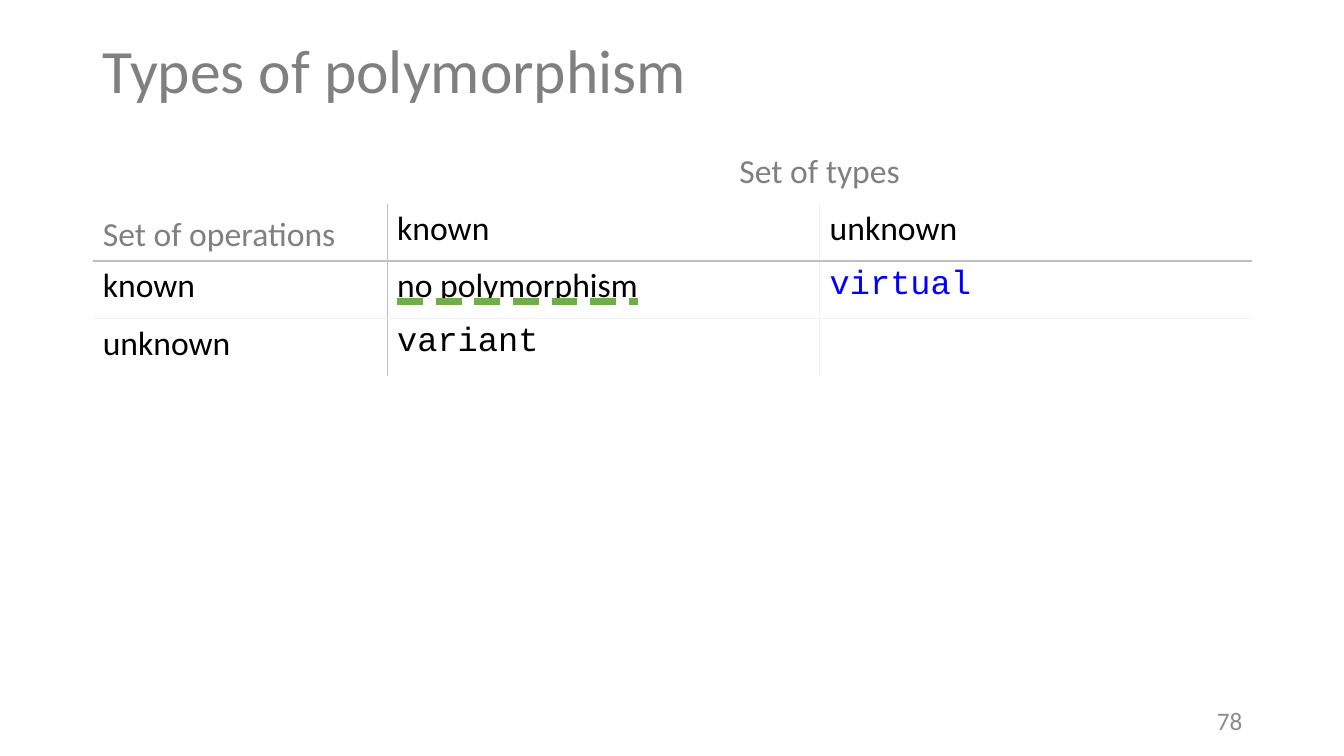
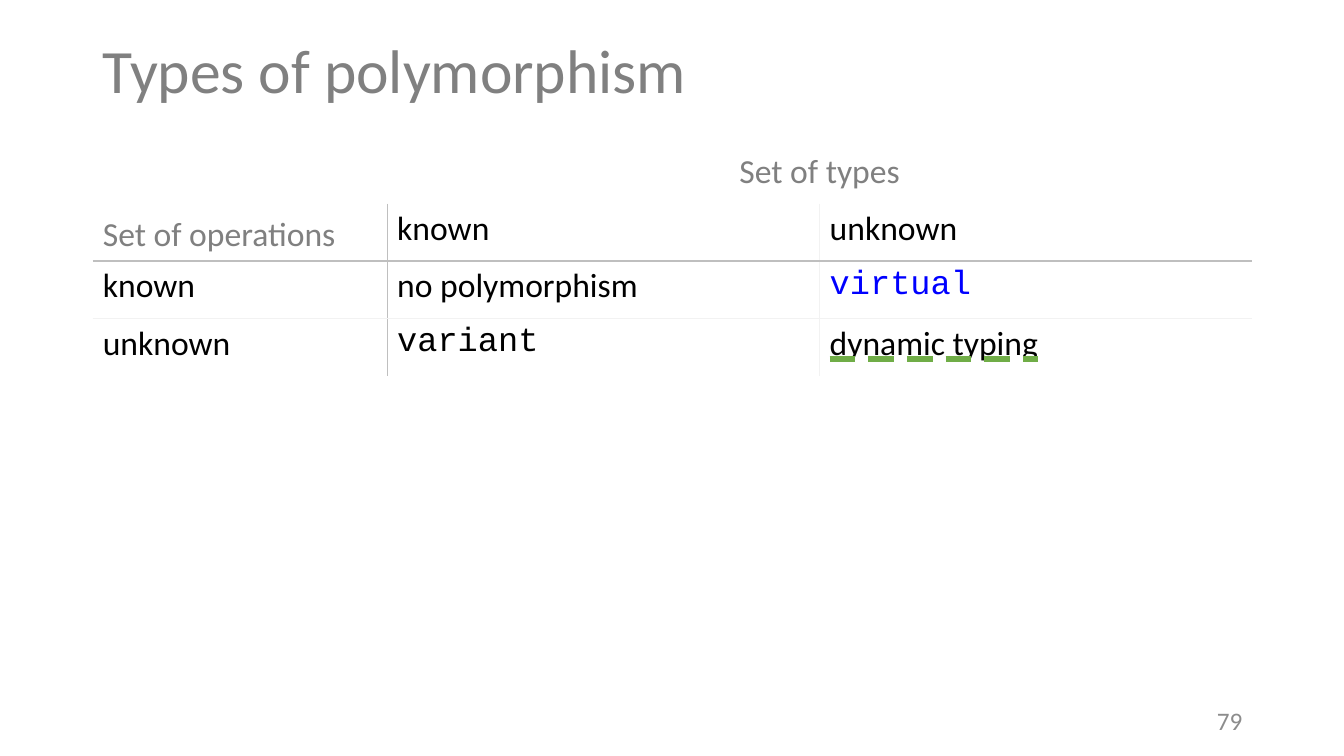
from lxml.etree import SubElement
from pptx import Presentation
from pptx.dml.color import RGBColor
from pptx.enum.text import MSO_ANCHOR, MSO_UNDERLINE, PP_ALIGN
from pptx.oxml import parse_xml
from pptx.oxml.ns import qn
from pptx.util import Inches, Pt

GREY = RGBColor(0x80, 0x80, 0x80)
DIM = RGBColor(0x8C, 0x8C, 0x8C)
BLACK = RGBColor(0, 0, 0)
BLUE = RGBColor(0, 0, 0xFF)
GREEN = RGBColor(0x70, 0xAD, 0x47)
RULE = RGBColor(0xBF, 0xBF, 0xBF)
PALE = RGBColor(0xF2, 0xF2, 0xF2)
SANS, MONO = "Calibri", "Courier New"
SPACE = "http://schemas.openxmlformats.org/drawingml/2006/main"
PLAIN = "{2D5ABB26-0587-4C30-8999-92F81FD0307C}"

LEFT, WIDTH, HEAD = 0.92, 11.5, 1.45
COLS, ROW = (2.92, 4.29, 4.29), 0.57
DOWN = {1: RULE, 2: PALE}
ACROSS = {2: RULE, 3: PALE}
GRID = (
    ("Set of operations", "Set of types", ""),
    ("", "known", "unknown"),
    ("known", "no polymorphism", "virtual"),
    ("unknown", "variant", "dynamic typing"),
)
CODE = {"virtual": BLUE, "variant": BLACK}


class Deck:
    """Holds the shared style and the current slide."""

    def __init__(self):
        self.prs = Presentation()
        self.prs.slide_width = Inches(13.33)
        self.prs.slide_height = Inches(7.5)
        self.slide = None

    def start(self, title, number):
        self.slide = self.prs.slides.add_slide(self.prs.slide_layouts[5])
        box = self.slide.shapes.title
        self.place(box, LEFT, 0, WIDTH, HEAD)
        self.label(box.text_frame, title, 44, GREY)
        box.text_frame.paragraphs[0].line_spacing = 0.9
        page = self.slide.shapes.add_textbox(0, 0, 0, 0)
        self.place(page, LEFT + WIDTH - 3, 6.95, 3, 0.4)
        self.label(page.text_frame, str(number), 18, DIM, align=PP_ALIGN.RIGHT)
        for frame in (box.text_frame, page.text_frame):
            frame.word_wrap = True
            frame.vertical_anchor = MSO_ANCHOR.MIDDLE

    def place(self, shape, left, top, width, height):
        shape.left, shape.top = Inches(left), Inches(top)
        shape.width, shape.height = Inches(width), Inches(height)

    def label(self, frame, text, size, color, font=SANS, align=PP_ALIGN.LEFT):
        frame.text = text
        para = frame.paragraphs[0]
        para.alignment = align
        for run in para.runs:
            run.font.size = Pt(size)
            run.font.name = font
            run.font.color.rgb = color

    def mark(self, run):
        run.font.underline = MSO_UNDERLINE.DASH_HEAVY_LINE
        fill = parse_xml(
            f'<a:uFill xmlns:a="{SPACE}"><a:solidFill>'
            f'<a:srgbClr val="{GREEN}"/></a:solidFill></a:uFill>'
        )
        run.font._element.find(qn("a:solidFill")).addnext(fill)

    def rule(self, cell, row, col):
        sides = {"T": ACROSS.get(row), "B": ACROSS.get(row + 1)}
        if row > 0:
            sides = {"L": DOWN.get(col), "R": DOWN.get(col + 1), **sides}
        props = cell._tc.get_or_add_tcPr()
        for side, color in sides.items():
            if color is not None:
                line = SubElement(props, qn(f"a:ln{side}"), w=str(Pt(1)))
                fill = SubElement(line, qn("a:solidFill"))
                SubElement(fill, qn("a:srgbClr"), val=str(color))

    def table(self, grid, marked):
        frame = self.slide.shapes.add_table(
            len(grid), len(COLS), Inches(LEFT), Inches(HEAD),
            Inches(WIDTH), Inches(ROW * len(grid)),
        )
        table = frame.table
        table.first_row = table.horz_banding = False
        table._tbl.tblPr.find(qn("a:tableStyleId")).text = PLAIN
        for col, width in zip(table.columns, COLS):
            col.width = Inches(width)
        for row in table.rows:
            row.height = Inches(ROW)
        table.cell(0, 0).merge(table.cell(1, 0))
        table.cell(0, 1).merge(table.cell(0, 2))
        for row, words in enumerate(grid):
            for col, text in enumerate(words):
                cell = table.cell(row, col)
                if not cell.is_spanned:
                    self.rule(cell, row, col)
                    self.fill(cell, text, row == 0, text == marked)
        table.cell(0, 0).vertical_anchor = MSO_ANCHOR.BOTTOM
        table.cell(0, 1).text_frame.paragraphs[0].alignment = PP_ALIGN.CENTER

    def fill(self, cell, text, head, marked):
        cell.fill.background()
        color = GREY if head else CODE.get(text, BLACK)
        font = MONO if text in CODE else SANS
        self.label(cell.text_frame, text, 24, color, font)
        if marked:
            self.mark(cell.text_frame.paragraphs[0].runs[0])

    def save(self):
        self.prs.save("out.pptx")


def main():
    deck = Deck()
    last = GRID[-1]
    bare = GRID[:-1] + (last[:-1] + ("",),)
    steps = ((bare, "no polymorphism"), (GRID, "dynamic typing"))
    for number, (grid, marked) in enumerate(steps, 78):
        deck.start("Types of polymorphism", number)
        deck.table(grid, marked)
    deck.save()


if __name__ == "__main__":
    main()
